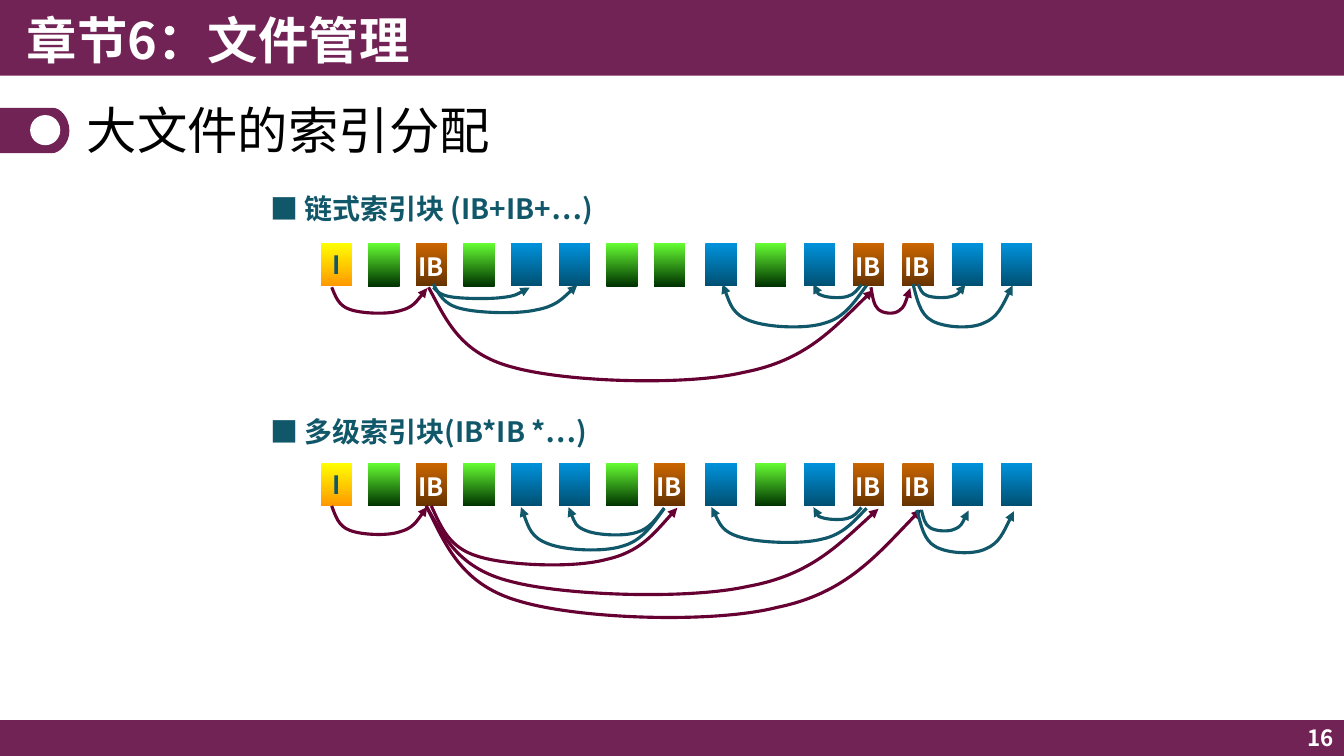
from dataclasses import dataclass
from typing import NamedTuple

from lxml.etree import SubElement
from pptx import Presentation
from pptx.dml.color import RGBColor
from pptx.enum.shapes import MSO_SHAPE
from pptx.enum.text import MSO_ANCHOR, MSO_AUTO_SIZE, PP_ALIGN
from pptx.oxml.ns import qn
from pptx.util import Cm, Pt

PURPLE = RGBColor(0x71, 0x23, 0x55)
WHITE = RGBColor(0xFF, 0xFF, 0xFF)
BLACK = RGBColor(0x00, 0x00, 0x00)
TEAL = RGBColor(0x11, 0x57, 0x6A)
WINE = RGBColor(0x66, 0x00, 0x33)
YELLOW = RGBColor(0xFF, 0xFF, 0x00)
ORANGE = RGBColor(0xFF, 0x99, 0x00)
LIME = RGBColor(0x66, 0xFF, 0x33)
DARK_GREEN = RGBColor(0x00, 0x33, 0x00)
SKY = RGBColor(0x00, 0x93, 0xDD)
DEEP_BLUE = RGBColor(0x00, 0x50, 0x72)
COPPER = RGBColor(0xCC, 0x66, 0x00)
BROWN = RGBColor(0x66, 0x33, 0x00)

SC_FONT = "Noto Sans CJK SC"
JP_FONT = "Noto Sans CJK JP"
SLIDE_WIDTH, SLIDE_HEIGHT = 33.87, 19.05
BLOCK_WIDTH, BLOCK_HEIGHT = 0.79, 1.09
BLOCK_LEFTS = [8.08 + 1.2 * i for i in range(8)] + [17.78 + 1.24 * i for i in range(7)]
ARC_CURVE = [
    (0.04, 0.33), (0.07, 0.67), (0.19, 0.81),
    (0.31, 0.96), (0.58, 1), (0.71, 0.86),
    (0.85, 0.74), (0.92, 0.37), (1, 0.03),
]


class Gradient(NamedTuple):
    top: RGBColor
    bottom: RGBColor


BLOCK_FILLS = {
    "I": Gradient(YELLOW, ORANGE),
    "F": Gradient(LIME, DARK_GREEN),
    "B": Gradient(COPPER, BROWN),
    "D": Gradient(SKY, DEEP_BLUE),
}


@dataclass
class Arc:
    left: float
    top: float
    width: float
    depth: float
    color: RGBColor = TEAL
    leftward: bool = False


@dataclass
class IndexScheme:
    caption: str
    caption_top: float
    blocks_top: float
    blocks: str
    arcs: list[Arc]


SCHEMES = [
    IndexScheme("链式索引块 (IB+IB+…)", 4.7, 6.12, "IFBFDDFFDFDBBDD", [
        Arc(8.36, 7.24, 2.41, 0.69, WINE),
        Arc(21.95, 7.24, 0.99, 0.69, WINE),
        Arc(10.8, 7.24, 11.2, 2.49, WINE),
        Arc(10.92, 7.24, 2.43, 0.3),
        Arc(10.92, 7.16, 3.63, 0.76),
        Arc(18.21, 7.16, 3.63, 1.14, leftward=True),
        Arc(20.5, 7.16, 1.21, 0.36, leftward=True),
        Arc(23.14, 7.16, 1.19, 0.36),
        Arc(23.01, 7.16, 2.51, 1.14),
    ]),
    IndexScheme("多级索引块(IB*IB *…)", 10.31, 11.66, "IFBFDDFBDFDBBDD", [
        Arc(8.36, 12.75, 2.41, 0.76, WINE),
        Arc(10.87, 12.75, 6.2, 1.57, WINE),
        Arc(10.74, 12.75, 11.4, 2.36, WINE),
        Arc(10.74, 12.75, 12.47, 2.97, WINE),
        Arc(23.22, 12.85, 1.19, 0.56),
        Arc(23.11, 12.85, 2.44, 1.14),
        Arc(17.93, 12.78, 3.91, 0.94, leftward=True),
        Arc(20.5, 12.78, 1.21, 0.33, leftward=True),
        Arc(14.33, 12.78, 2.41, 0.74, leftward=True),
        Arc(13.13, 12.78, 3.61, 1.14, leftward=True),
    ]),
]


def write_text(shape, text: str, *, size: float, color: RGBColor, bold: bool = True,
               font: str = SC_FONT, align=PP_ALIGN.LEFT, anchor=MSO_ANCHOR.TOP,
               wrap: bool = True, line_spacing: float = 1.0) -> None:
    frame = shape.text_frame
    frame.auto_size = MSO_AUTO_SIZE.NONE
    frame.word_wrap = wrap
    frame.vertical_anchor = anchor
    paragraph = frame.paragraphs[0]
    paragraph.alignment = align
    paragraph.line_spacing = line_spacing
    run = paragraph.add_run()
    run.text = text
    run.font.size = Pt(size)
    run.font.bold = bold
    run.font.color.rgb = color
    run.font.name = font
    SubElement(run.font._element, qn("a:ea"), typeface=font)


def add_label(slide, text: str, left: float, top: float, width: float, height: float,
              **text_format) -> None:
    label = slide.shapes.add_textbox(Cm(left), Cm(top), Cm(width), Cm(height))
    write_text(label, text, **text_format)


def add_solid(slide, kind, left: float, top: float, width: float, height: float,
              color: RGBColor):
    solid = slide.shapes.add_shape(kind, Cm(left), Cm(top), Cm(width), Cm(height))
    solid.shadow.inherit = False
    solid.fill.solid()
    solid.fill.fore_color.rgb = color
    solid.line.fill.background()
    return solid


def add_curve(slide, start: tuple, points: list, segment_sizes: list[int], close: bool):
    builder = slide.shapes.build_freeform(Cm(start[0]), Cm(start[1]))
    builder.add_line_segments([(Cm(x), Cm(y)) for x, y in points], close=close)
    curve = builder.convert_to_shape()
    curve.shadow.inherit = False
    segments = iter(list(curve._element.iter(qn("a:lnTo"))))
    for size in segment_sizes:
        first, *others = [next(segments) for _ in range(size)]
        if others:
            first.tag = qn("a:cubicBezTo")
            for other in others:
                first.append(other[0])
                other.getparent().remove(other)
    return curve


def add_arc(slide, arc: Arc) -> None:
    points = [(arc.left + x * arc.width, arc.top + y * arc.depth) for x, y in ARC_CURVE]
    curve = add_curve(slide, (arc.left, arc.top), points, [3, 3, 3], close=False)
    curve.fill.background()
    curve.line.color.rgb = arc.color
    curve.line.width = Pt(2.25)
    arrow_end = "a:headEnd" if arc.leftward else "a:tailEnd"
    SubElement(curve.line._get_or_add_ln(), qn(arrow_end), type="triangle")


def add_block(slide, kind: str, left: float, top: float) -> None:
    gradient = BLOCK_FILLS[kind]
    block = add_solid(slide, MSO_SHAPE.RECTANGLE, left, top, BLOCK_WIDTH, BLOCK_HEIGHT,
                      gradient.top)
    block.fill.gradient()
    block.fill.gradient_angle = 270
    for stop, color in zip(block.fill.gradient_stops, gradient):
        stop.color.rgb = color
    if kind == "I":
        write_text(block, "I", size=18, color=TEAL, align=PP_ALIGN.CENTER,
                   anchor=MSO_ANCHOR.MIDDLE, wrap=False)
    if kind == "B":
        add_label(slide, "IB", left - 0.19, top + 0.1, 1.6, 0.99, size=18, color=WHITE)


def add_scheme(slide, scheme: IndexScheme) -> None:
    add_label(slide, scheme.caption, 7.42, scheme.caption_top, 8.74, 1.19,
              size=20, color=TEAL)
    add_label(slide, "■", 6.58, scheme.caption_top, 1.19, 1.12,
              size=20, color=TEAL, font=JP_FONT)
    for kind, left in zip(scheme.blocks, BLOCK_LEFTS):
        add_block(slide, kind, left, scheme.blocks_top)
    for arc in scheme.arcs:
        add_arc(slide, arc)


def add_frame(slide) -> None:
    for top, height in ((18.15, 0.9), (0, 1.91)):
        add_solid(slide, MSO_SHAPE.RECTANGLE, 0, top, SLIDE_WIDTH, height, PURPLE)
    tab_points = [(1.35, 2.72), (1.52, 2.72), (1.75, 2.97), (1.75, 3.3),
                  (1.75, 3.61), (1.5, 3.86), (1.32, 3.86), (0, 3.86)]
    tab = add_curve(slide, (0, 2.72), tab_points, [1, 3, 3, 1], close=True)
    tab.fill.solid()
    tab.fill.fore_color.rgb = PURPLE
    tab.line.fill.background()
    add_solid(slide, MSO_SHAPE.OVAL, 0.76, 2.9, 0.76, 0.76, WHITE)
    add_label(slide, "章节6：文件管理", 0.43, 0, 16.94, 1.96, size=36, color=WHITE,
              anchor=MSO_ANCHOR.MIDDLE)
    add_label(slide, "16", 26.24, 18.14, 7.62, 0.91, size=16, color=WHITE,
              align=PP_ALIGN.RIGHT, anchor=MSO_ANCHOR.MIDDLE)


def main() -> None:
    deck = Presentation()
    deck.slide_width, deck.slide_height = Cm(SLIDE_WIDTH), Cm(SLIDE_HEIGHT)
    slide = deck.slides.add_slide(deck.slide_layouts[5])
    add_frame(slide)
    for scheme in SCHEMES:
        add_scheme(slide, scheme)
    title = slide.shapes.title
    title.left, title.top, title.width, title.height = Cm(1.93), Cm(2.41), Cm(30), Cm(1.88)
    write_text(title, "大文件的索引分配", size=36, color=BLACK, bold=False,
               anchor=MSO_ANCHOR.MIDDLE, line_spacing=0.9)
    deck.save("out.pptx")


if __name__ == "__main__":
    main()
